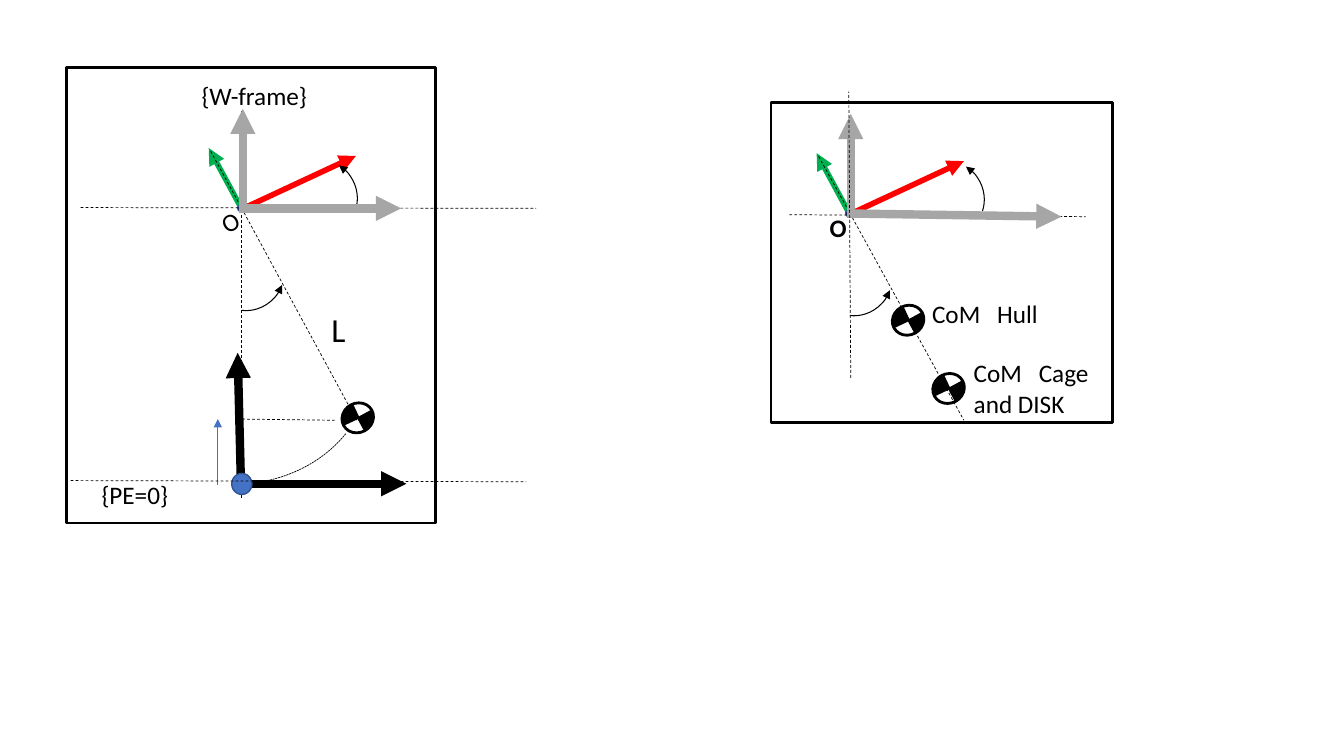
from lxml import etree
from pptx import Presentation
from pptx import util as u
from pptx.dml.color import RGBColor
from pptx.enum import dml, shapes, text
from pptx.oxml.ns import qn

BLACK, GRAY, BLUE, EDGE = "000000", "A6A6A6", "4472C4", "325491"
FORM = shapes.MSO_SHAPE
DASH, DOTS = dml.MSO_LINE.DASH, dml.MSO_LINE.SQUARE_DOT
SWEEP = (146.63, 195.66)


def tint(part, hue):
    """Give a colour to a font or a fill."""
    if hasattr(part, "solid"):
        part.solid()
        part = part.fore_color
    else:
        part = part.color
    part.rgb = RGBColor.from_string(hue)


def stroke(item, hue, size, dash=None, tip=None):
    """Style the line of a shape or connector; tip is headEnd or tailEnd."""
    tint(item.line.fill, hue)
    item.line.width = u.Pt(size)
    if dash:
        item.line.dash_style = dash
    if tip:
        pen = item.line.fill._xPr
        etree.SubElement(pen, qn("a:" + tip)).set("type", "triangle")


class Sketch:
    """Draw parts in centimetres, measured from a pivot."""

    def __init__(self, pool, left, top):
        """Keep the shape pool and the place of the pivot."""
        self.pool, self.left, self.top = pool, left, top

    def spot(self, x, y):
        """Turn offsets from the pivot into slide lengths."""
        return u.Cm(self.left + x), u.Cm(self.top + y)

    def line(self, start, end, hue=BLACK, size=0.5, dash=None, tip=None):
        """Add a straight line between two points."""
        kind = shapes.MSO_CONNECTOR.STRAIGHT
        item = self.pool.add_connector(kind, *self.spot(*start), *self.spot(*end))
        stroke(item, hue, size, dash, tip)
        etree.SubElement(item._element.spPr, qn("a:effectLst"))

    def dashed(self, start, end):
        """Add a thin dashed guide."""
        self.line(start, end, dash=DASH)

    def arrow(self, start, end, hue, size):
        """Add an arrow."""
        self.line(start, end, hue, size, tip="tailEnd")

    def form(self, kind, box, fill=None, hue=BLACK, size=1, turn=0,
             bends=(), pool=None, **look):
        """Add a preset shape."""
        x, y, wide, high = box
        item = (pool or self.pool).add_shape(
            kind, *self.spot(x, y), u.Cm(wide), u.Cm(high))
        item.shadow.inherit = False
        item.rotation = turn
        for i, bend in enumerate(bends):
            item.adjustments[i] = bend
        if fill:
            tint(item.fill, fill)
        else:
            item.fill.background()
        stroke(item, hue, size, **look)

    def swing(self, x, y, turn):
        """Add a curved angle arrow."""
        self.form(FORM.ARC, (x, y, 1.88, 1.78), size=0.75, turn=turn,
                  bends=SWEEP, tip="headEnd")

    def mass(self, x, y):
        """Add a centre of mass symbol."""
        pool = self.pool.add_group_shape().shapes
        for shift, turn in ((0.03, 334.8), (0, 151.5)):
            self.form(FORM.PIE, (x + shift, y, 0.81, 0.74), BLACK, turn=turn,
                      bends=(108, 162), pool=pool)
        self.form(FORM.OVAL, (x, y, 0.81, 0.74), size=2, turn=331.5, pool=pool)

    def label(self, words, box, size=18, bold=False, turn=0, tab=None, mid=False):
        """Add a text box with one paragraph per line."""
        x, y, wide, high = box
        item = self.pool.add_textbox(*self.spot(x, y), u.Cm(wide), u.Cm(high))
        item.rotation = turn
        frame = item.text_frame
        frame.word_wrap = bool(tab)
        frame.auto_size = text.MSO_AUTO_SIZE.SHAPE_TO_FIT_TEXT
        frame.text = words
        style = {"name": "Calibri", "size": u.Pt(size), "bold": bold}
        for para in frame.paragraphs:
            if mid:
                para.alignment = text.PP_ALIGN.CENTER
            if tab:
                stops = etree.SubElement(para._p.get_or_add_pPr(), qn("a:tabLst"))
                stop = etree.SubElement(stops, qn("a:tab"))
                stop.set("pos", str(u.Cm(tab)))
                stop.set("algn", "l")
            for key, value in style.items():
                setattr(para.font, key, value)
                for run in para.runs:
                    setattr(run.font, key, value)
            for run in para.runs:
                tint(run.font, BLACK)

    def axes(self):
        """Add the tilted axes, the pivot dot and the lower angle."""
        self.arrow((0, 0), (2.9, -1.35), "FF0000", 4)
        self.arrow((0.03, 0), (-0.81, -1.55), "00B050", 4)
        self.form(FORM.OVAL, (-0.08, -0.13, 0.2, 0.18), BLACK, EDGE, turn=331.5)
        self.swing(-0.76, 0.74, 133.2)

    def world(self, end):
        """Add the grey world axes."""
        self.arrow((0.03, -0.03), end, GRAY, 6)
        self.arrow((0.05, 0.08), (0.05, -2.54), GRAY, 6)


def swung(pool, left, top, wide, high):
    """Draw the pendulum with its rest position."""
    art = Sketch(pool, left + 4.39, top + 3.58)
    art.axes()
    art.label("O", (-0.79, -0.08, 0.46, 0.51), turn=331.5)
    art.dashed((-0.76, -1.47), (2.92, 5.31))
    art.mass(2.54, 4.88)
    art.dashed((-4.04, -0.05), (7.44, -0.03))
    art.swing(1.09, -1.22, 55.2)
    art.dashed((0, 7.26), (0, -2.49))
    art.label("L", (2.03, 2.39, 0.86, 1.27), size=24)
    art.dashed((0.03, 5.28), (2.36, 5.31))
    art.form(FORM.ARC, (-3.2, 0.43, 6.1, 6.88), size=0.5, turn=90,
             bends=(181.5, 0), dash=DOTS)
    art.world((4.04, -0.03))
    art.label("{W-frame}", (-1.24, -3.38, 3.23, 1.02))
    art.arrow((0.15, 6.91), (4.17, 6.91), BLACK, 6)
    art.arrow((0, 6.83), (-0.08, 3.61), BLACK, 6)
    art.form(FORM.OVAL, (-0.23, 6.65, 0.51, 0.53), BLUE, EDGE)
    art.label("{PE=0}", (-3.76, 6.68, 2.21, 1.02))
    art.arrow((-0.58, 6.93), (-0.58, 5.28), BLUE, 0.5)
    art.dashed((-4.29, 6.83), (7.19, 6.86))
    art.form(FORM.RECTANGLE, (-4.39, -3.58, wide, high), size=2)


def split(pool, left, top, wide, high):
    """Draw the pendulum with its two masses."""
    art = Sketch(pool, left + 1.96, top + 2.82)
    art.axes()
    art.label("O", (-0.74, -0.18, 0.94, 1.02), bold=True, mid=True)
    art.dashed((-0.76, -1.47), (2.9, 5.18))
    art.mass(1.09, 2.29)
    art.dashed((-1.5, 0), (5.97, 0.05))
    art.swing(1.57, -1.32, 55.2)
    art.world((5.36, 0.05))
    art.dashed((0.05, 4.11), (0, -3.1))
    art.mass(2.11, 4.01)
    art.label("CoM\tHull", (1.85, 1.98, 3.23, 1.02), tab=1.64)
    art.label("CoM\tCage\nand DISK", (2.9, 3.48, 3.73, 1.8), tab=1.64)
    art.form(FORM.RECTANGLE, (-1.96, -2.82, wide, high), size=2)


def main():
    """Build and save the slide."""
    deck = Presentation()
    deck.slide_width, deck.slide_height = u.Cm(33.87), u.Cm(19.05)
    pool = deck.slides.add_slide(deck.slide_layouts[6]).shapes
    swung(pool, 1.68, 1.7, 9.3, 11.48)
    split(pool, 19.43, 2.59, 8.61, 8.05)
    deck.save("out.pptx")


if __name__ == "__main__":
    main()
